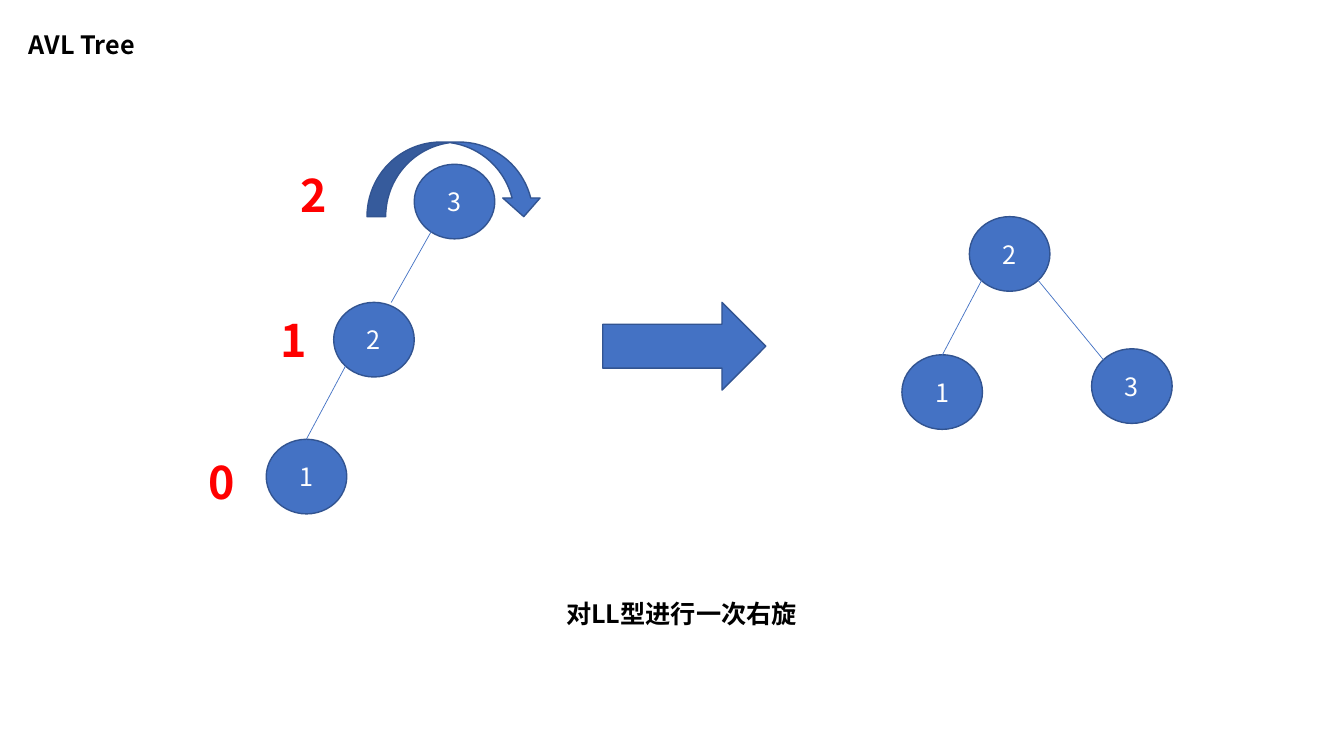
from dataclasses import dataclass

from lxml.etree import SubElement
from pptx import Presentation
from pptx.dml.color import RGBColor
from pptx.enum.shapes import MSO_CONNECTOR, MSO_SHAPE
from pptx.enum.text import MSO_ANCHOR, MSO_AUTO_SIZE, PP_ALIGN
from pptx.oxml.ns import qn
from pptx.util import Cm, Pt


@dataclass(frozen=True)
class Theme:
    font: str = "Noto Sans CJK SC"
    blue: str = "4472C4"
    outline: str = "325491"
    white: str = "FFFFFF"
    black: str = "000000"
    red: str = "FF0000"
    body_size: int = 18
    factor_size: int = 32
    outline_width: float = 1
    edge_width: float = 0.5


NODE_WIDTH, NODE_HEIGHT = 2.03, 1.88


class TreeSlide:
    def __init__(self, slide, theme):
        self.shapes = slide.shapes
        self.theme = theme

    def add_text(self, frame, text, size, color, bold=False):
        run = frame.paragraphs[0].add_run()
        run.text = text
        formats = {"name": self.theme.font, "size": Pt(size), "bold": bold}
        for name, value in formats.items():
            setattr(run.font, name, value)
        run.font.color.rgb = RGBColor.from_string(color)
        # Chinese characters take their font from the East Asian slot
        SubElement(run._r.get_or_add_rPr(), qn("a:ea"), typeface=self.theme.font)

    def block(self, kind, left, top, width, height):
        shape = self.shapes.add_shape(kind, Cm(left), Cm(top), Cm(width), Cm(height))
        shape.shadow.inherit = False
        shape.fill.solid()
        shape.fill.fore_color.rgb = RGBColor.from_string(self.theme.blue)
        shape.line.color.rgb = RGBColor.from_string(self.theme.outline)
        shape.line.width = Pt(self.theme.outline_width)
        return shape

    def node(self, key, left, top):
        frame = self.block(MSO_SHAPE.OVAL, left, top, NODE_WIDTH, NODE_HEIGHT).text_frame
        frame.vertical_anchor = MSO_ANCHOR.MIDDLE
        frame.paragraphs[0].alignment = PP_ALIGN.CENTER
        self.add_text(frame, key, self.theme.body_size, self.theme.white)

    def edge(self, x1, y1, x2, y2):
        link = self.shapes.add_connector(
            MSO_CONNECTOR.STRAIGHT, Cm(x1), Cm(y1), Cm(x2), Cm(y2))
        link.line.color.rgb = RGBColor.from_string(self.theme.blue)
        link.line.width = Pt(self.theme.edge_width)
        SubElement(link._element.spPr, qn("a:effectLst"))

    def label(self, text, left, top, width, height, size, color):
        frame = self.shapes.add_textbox(
            Cm(left), Cm(top), Cm(width), Cm(height)).text_frame
        formats = {"word_wrap": True, "auto_size": MSO_AUTO_SIZE.SHAPE_TO_FIT_TEXT}
        for name, value in formats.items():
            setattr(frame, name, value)
        self.add_text(frame, text, size, color, bold=True)


def main():
    deck = Presentation()
    deck.slide_width, deck.slide_height = Cm(33.87), Cm(19.05)
    theme = Theme()
    page = TreeSlide(deck.slides.add_slide(deck.slide_layouts[6]), theme)

    # Left-leaning tree before the rotation
    for key, left, top in (("3", 10.44, 4.14), ("2", 8.41, 7.62), ("1", 6.71, 11.07)):
        page.node(key, left, top)
    page.edge(7.72, 11.07, 8.71, 9.22)
    page.edge(9.86, 7.62, 10.92, 5.74)

    # Step arrow and right rotation around the root
    page.block(MSO_SHAPE.RIGHT_ARROW, 15.19, 7.62, 4.11, 2.21)
    page.block(MSO_SHAPE.CURVED_DOWN_ARROW, 9.25, 3.58, 4.42, 1.88)

    # Balanced tree after the rotation
    for key, left, top in (("3", 27.51, 8.79), ("2", 24.43, 5.46), ("1", 22.73, 8.94)):
        page.node(key, left, top)
    page.edge(23.75, 8.94, 24.74, 7.06)
    page.edge(26.16, 7.06, 27.81, 9.07)

    # Caption, balance factors and title
    page.label("对LL型进行一次右旋", 14.02, 14.96, 6.45, 1.02,
               theme.body_size, theme.black)
    for factor, left, top in (("2", 7.32, 4.11), ("1", 6.81, 7.75), ("0", 5.0, 11.33)):
        page.label(factor, left, top, 0.99, 1.63, theme.factor_size, theme.red)
    page.label("AVL Tree", 0.48, 0.61, 3.63, 1.02, theme.body_size, theme.black)

    deck.save("out.pptx")


if __name__ == "__main__":
    main()
